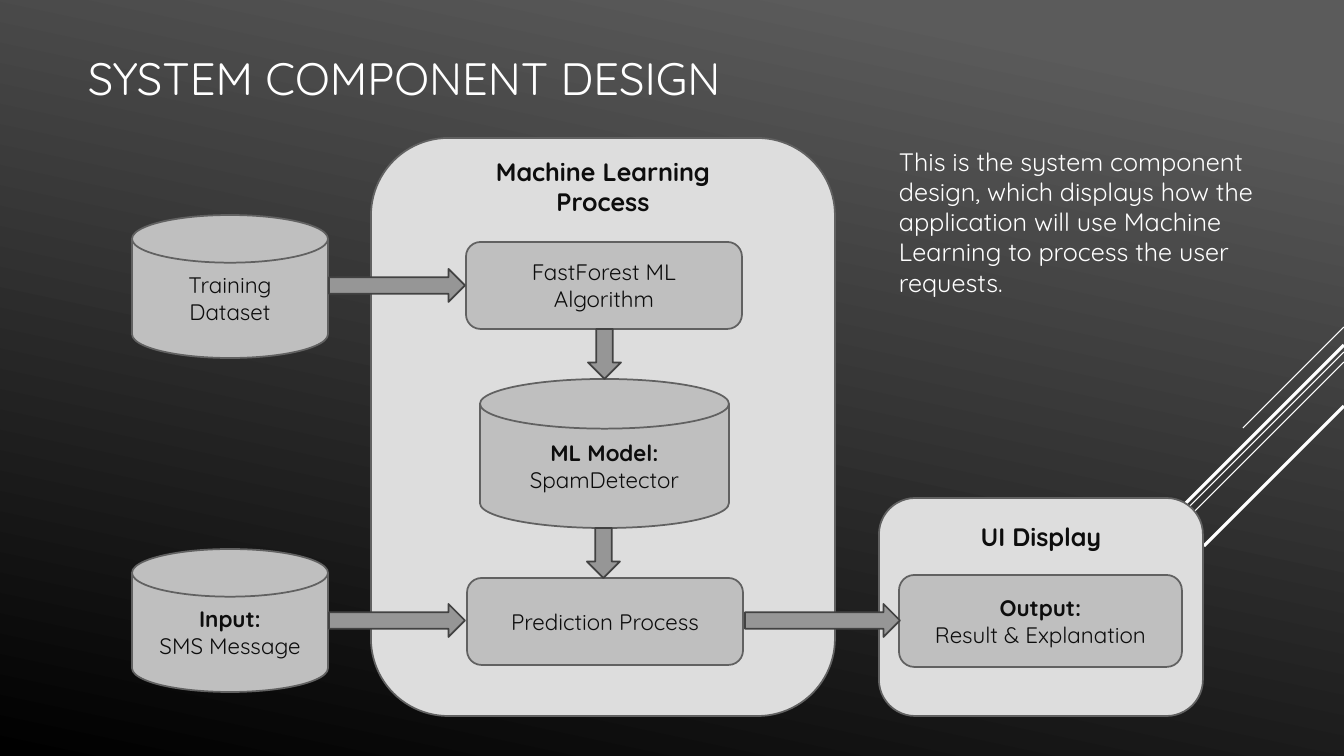
from lxml.etree import SubElement
from pptx import Presentation
from pptx.dml.color import RGBColor
from pptx.enum.shapes import MSO_CONNECTOR, MSO_SHAPE
from pptx.enum.text import MSO_ANCHOR, PP_ALIGN
from pptx.oxml.ns import qn
from pptx.util import Inches, Pt

FONT = "Quicksand"
WHITE = RGBColor(0xFF, 0xFF, 0xFF)
BLACK = RGBColor(0x00, 0x00, 0x00)
INK = RGBColor(0x0D, 0x0D, 0x0D)
SLATE = RGBColor(0x5B, 0x5B, 0x5B)
PANEL = RGBColor(0xDD, 0xDD, 0xDD)
NODE = RGBColor(0xBF, 0xBF, 0xBF)
OUTLINE = RGBColor(0x61, 0x61, 0x61)
ARROW = RGBColor(0x96, 0x96, 0x96)
ARROW_OUTLINE = RGBColor(0x42, 0x42, 0x42)

SLIDE_SIZE = (1344, 756)
SCALE = Inches(1) / 100.8

# Content: a text is a list of paragraphs, a paragraph a list of (words, bold)
TITLE = [[("SYSTEM COMPONENT DESIGN", False)]]
SUMMARY = [[("This is the system component design, which displays how the application "
             "will use Machine Learning to process the user requests.", False)]]

# Diagonal accents: right end y, length across, width in points
ACCENTS = [(327, 101, 0.75), (352, 329, 0.75), (362, 209, 0.75), (345, 193, 2.25), (406, 140, 2.25)]

# Panels: box, heading top, heading height, heading
PANELS = [
    ((879, 498, 324, 218), 516, 40, [[("UI Display", True)]]),
    ((371, 138, 464, 578), 151, 71, [[("Machine Learning", True)], [("Process", True)]]),
]

DISK = MSO_SHAPE.FLOWCHART_MAGNETIC_DISK
STEP = MSO_SHAPE.FLOWCHART_ALTERNATE_PROCESS
NODES = [
    (DISK, (132, 215, 196, 143), [[("Training", False)], [("Dataset", False)]]),
    (DISK, (132, 549, 196, 143), [[("Input:", True)], [("SMS Message", False)]]),
    (STEP, (466, 242, 276, 87), [[("FastForest ML Algorithm", False)]]),
    (DISK, (480, 379, 249, 149), [[("ML Model: ", True), ("SpamDetector", False)]]),
    (STEP, (467, 578, 276, 87), [[("Prediction Process", False)]]),
    (STEP, (899, 575, 283, 92), [[("Output:", True)], [("Result & Explanation", False)]]),
]

ARROW_THICKNESS = 33
RIGHT_ARROWS = [(329, 269, 136), (329, 604, 136), (745, 604, 155)]  # left, top, length
DOWN_ARROWS = [(588, 329, 50), (587, 528, 50)]


def px(*lengths):
    return [round(length * SCALE) for length in lengths]


def write(shape, paragraphs, size, color, align, anchor):
    frame = shape.text_frame
    frame.word_wrap = True
    frame.vertical_anchor = anchor
    for index, runs in enumerate(paragraphs):
        paragraph = frame.add_paragraph() if index else frame.paragraphs[0]
        paragraph.alignment = align
        for words, bold in runs:
            run = paragraph.add_run()
            run.text = words
            run.font.name = FONT
            run.font.size = Pt(size)
            run.font.bold = bold
            run.font.color.rgb = color


def add_block(slide, kind, box, fill, outline):
    shape = slide.shapes.add_shape(kind, *px(*box))
    shape.shadow.inherit = False
    shape.fill.solid()
    shape.fill.fore_color.rgb = fill
    shape.line.color.rgb = outline
    shape.line.width = Pt(1.25)
    return shape


def add_text(slide, box, paragraphs, size, color, align=PP_ALIGN.LEFT, anchor=MSO_ANCHOR.TOP):
    write(slide.shapes.add_textbox(*px(*box)), paragraphs, size, color, align, anchor)


def add_accent(slide, right_y, length, width):
    right = SLIDE_SIZE[0]
    line = slide.shapes.add_connector(
        MSO_CONNECTOR.STRAIGHT, *px(right, right_y, right - length, right_y + length))
    line.line.color.rgb = WHITE
    line.line.width = Pt(width)
    SubElement(line._element.spPr, qn("a:effectLst"))


def main():
    presentation = Presentation()
    presentation.slide_width, presentation.slide_height = px(*SLIDE_SIZE)
    slide = presentation.slides.add_slide(presentation.slide_layouts[6])

    # Background
    background = slide.background.fill
    background.gradient()
    background.gradient_angle = 258
    for stop, position, color in zip(background.gradient_stops, (0.1, 1), (SLATE, BLACK)):
        stop.position = position
        stop.color.rgb = color
    for accent in ACCENTS:
        add_accent(slide, *accent)

    # Panels and their headings
    for box, top, height, heading in PANELS:
        add_block(slide, MSO_SHAPE.ROUNDED_RECTANGLE, box, PANEL, OUTLINE)
        add_text(slide, (box[0], top, box[2], height), heading, 18, INK, PP_ALIGN.CENTER)

    # Components
    for kind, box, paragraphs in NODES:
        node = add_block(slide, kind, box, NODE, OUTLINE)
        write(node, paragraphs, 16, INK, PP_ALIGN.CENTER, MSO_ANCHOR.MIDDLE)

    # Flow arrows
    for left, top, length in RIGHT_ARROWS:
        add_block(slide, MSO_SHAPE.RIGHT_ARROW, (left, top, length, ARROW_THICKNESS),
                  ARROW, ARROW_OUTLINE)
    for left, top, length in DOWN_ARROWS:
        add_block(slide, MSO_SHAPE.DOWN_ARROW, (left, top, ARROW_THICKNESS, length),
                  ARROW, ARROW_OUTLINE)

    # Title and summary
    add_text(slide, (78, 16, 720, 122), TITLE, 32.4, WHITE, anchor=MSO_ANCHOR.MIDDLE)
    add_text(slide, (889, 141, 413, 163), SUMMARY, 18, WHITE)

    presentation.save("out.pptx")


if __name__ == "__main__":
    main()
